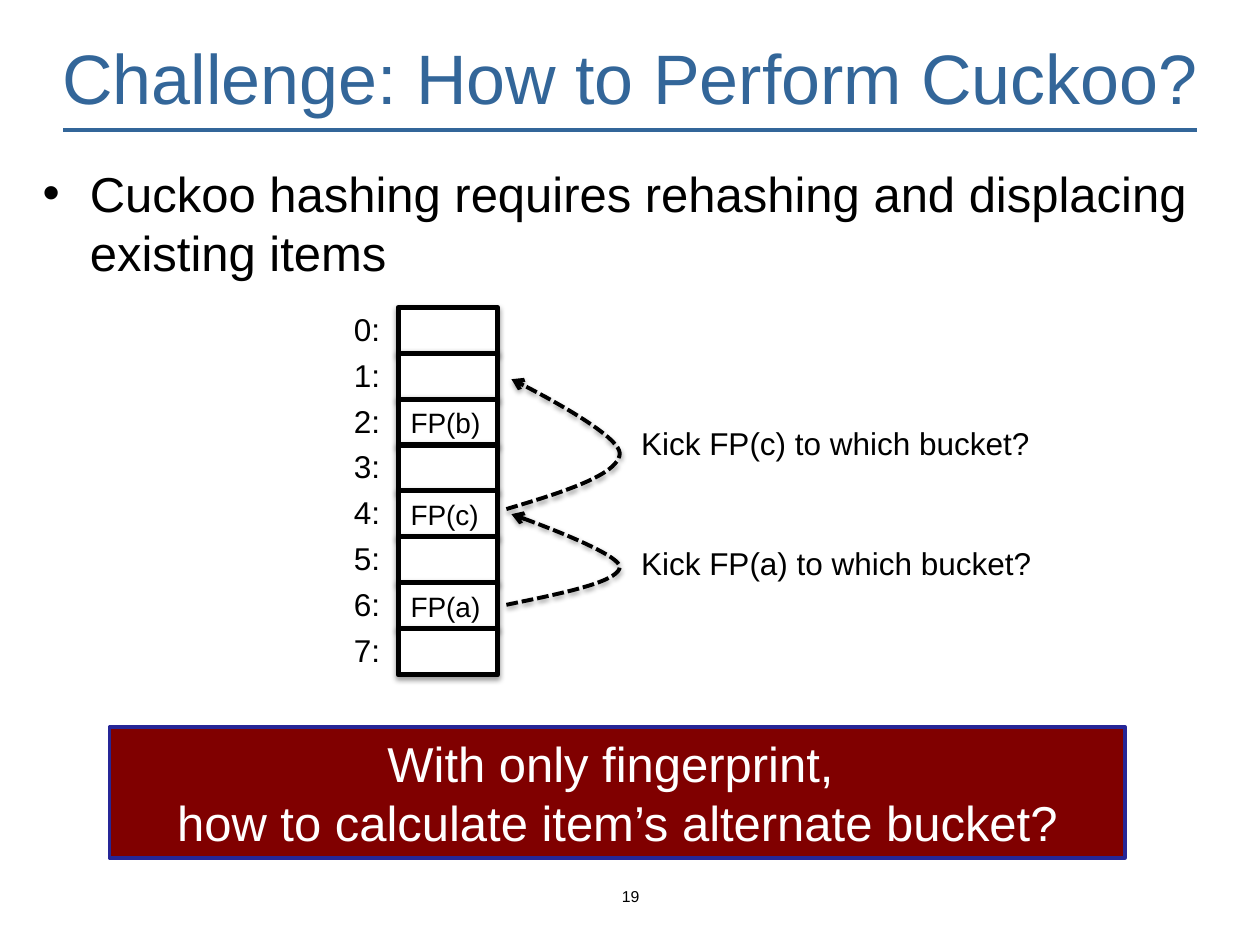
from dataclasses import dataclass

from lxml import etree
from pptx import Presentation
from pptx.dml.color import RGBColor
from pptx.enum import dml, shapes, text
from pptx.oxml import ns, parse_xml
from pptx.util import Pt

Point = tuple[float, float]


@dataclass(frozen=True)
class Theme:
    font: str = "Arial"
    heading: str = "336699"
    ink: str = "000000"
    paper: str = "FFFFFF"
    banner: str = "800000"
    banner_edge: str = "262697"
    title_size: float = 40
    body_size: float = 28
    label_size: float = 18
    cell_size: float = 16
    number_size: float = 9


@dataclass(frozen=True)
class Area:
    left: float
    top: float
    width: float
    height: float

    def lengths(self):
        return [Pt(v) for v in (self.left, self.top, self.width, self.height)]


@dataclass(frozen=True)
class Kick:
    """A curved move between buckets, as two Bezier pieces, with its question."""
    points: tuple[Point, ...]
    question: str
    question_top: float


THEME = Theme()
BUCKETS = ("", "", "FP(b)", "", "FP(c)", "", "FP(a)", "")
BUCKET_TOP, BUCKET_PITCH = 175.7, 26.2
KICKS = (
    Kick(((289.4, 345.6), (321.1, 339.1), (353.5, 332.6), (354.2, 324),
          (354.2, 315.4), (292.3, 293.8), (292.3, 293.8)),
         "Kick FP(a) to which bucket?", 307.4),
    Kick(((289.4, 290.9), (321.1, 281.5), (353.5, 271.4), (354.2, 259.2),
          (354.2, 247), (292.3, 216.7), (292.3, 216.7)),
         "Kick FP(c) to which bucket?", 239),
)


def color(value: str) -> RGBColor:
    return RGBColor.from_string(value)


def write(shape, words: str, size: float, ink: str = THEME.ink,
          align=text.PP_ALIGN.LEFT) -> None:
    shape.text_frame.text = words
    for paragraph in shape.text_frame.paragraphs:
        paragraph.alignment = align
        for span in paragraph.runs:
            span.font.name = THEME.font
            span.font.size = Pt(size)
            span.font.color.rgb = color(ink)


def add_text(page, area: Area, words: str, size: float, ink: str = THEME.ink,
             align=text.PP_ALIGN.LEFT, wrap: bool = True):
    box = page.shapes.add_textbox(*area.lengths())
    box.text_frame.word_wrap = wrap
    write(box, words, size, ink, align)
    return box


def add_panel(page, area: Area, fill: str, edge: str, weight: float):
    panel = page.shapes.add_shape(shapes.MSO_SHAPE.RECTANGLE, *area.lengths())
    panel.shadow.inherit = False
    panel.fill.solid()
    panel.fill.fore_color.rgb = color(fill)
    panel.line.color.rgb = color(edge)
    panel.line.width = Pt(weight)
    panel.text_frame.word_wrap = True
    return panel


def cast_shadow(shape) -> None:
    shape.shadow.inherit = False
    effects = shape._element.spPr.find(ns.qn("a:effectLst"))
    effects.append(parse_xml(
        f'<a:outerShdw {ns.nsdecls("a")} blurRad="{Pt(3.1)}" dist="{Pt(1.6)}" '
        f'dir="5400000" rotWithShape="0"><a:srgbClr val="{THEME.ink}">'
        '<a:alpha val="38000"/></a:srgbClr></a:outerShdw>'))


def add_bullet(paragraph, indent: float) -> None:
    properties = paragraph._p.get_or_add_pPr()
    properties.set("marL", str(Pt(indent)))
    properties.set("indent", str(-Pt(indent)))
    etree.SubElement(properties, ns.qn("a:buFont"), typeface=THEME.font)
    etree.SubElement(properties, ns.qn("a:buChar"), char="•")


def add_rule(page, start: Point, end: Point) -> None:
    rule = page.shapes.add_connector(
        shapes.MSO_CONNECTOR.STRAIGHT, *(Pt(v) for v in start + end))
    rule.line.color.rgb = color(THEME.heading)
    rule.line.width = Pt(2)
    etree.SubElement(rule._element.spPr, ns.qn("a:effectLst"))


def bezier(points: tuple[Point, ...], steps: int = 24) -> list[Point]:
    """Sample one cubic piece, leaving out its start."""
    samples = []
    for step in range(1, steps + 1):
        t = step / steps
        weights = ((1 - t) ** 3, 3 * t * (1 - t) ** 2, 3 * t * t * (1 - t), t ** 3)
        samples.append(tuple(sum(w * p[axis] for w, p in zip(weights, points))
                             for axis in (0, 1)))
    return samples


def add_kick(page, kick: Kick) -> None:
    curve = bezier(kick.points[:4]) + bezier(kick.points[3:])
    builder = page.shapes.build_freeform(*(Pt(v) for v in kick.points[0]))
    builder.add_line_segments([(Pt(x), Pt(y)) for x, y in curve], close=False)
    arrow = builder.convert_to_shape()
    arrow.fill.background()
    arrow.line.color.rgb = color(THEME.ink)
    arrow.line.width = Pt(2.25)
    arrow.line.dash_style = dml.MSO_LINE.SQUARE_DOT
    etree.SubElement(arrow.line._get_or_add_ln(), ns.qn("a:tailEnd"), type="arrow")
    cast_shadow(arrow)
    add_text(page, Area(359.3, kick.question_top, 240.5, 29), kick.question,
             THEME.label_size, wrap=False)


def add_bucket(page, index: int, content: str) -> None:
    top = BUCKET_TOP + index * BUCKET_PITCH
    cell = add_panel(page, Area(227.5, top, 56.9, 26.6), THEME.paper, THEME.ink, 3)
    cast_shadow(cell)
    if content:
        write(cell, content, THEME.cell_size)
    add_text(page, Area(195.1, top - 2.2, 29.5, 29), f"{index}:",
             THEME.label_size, wrap=False)


def main() -> None:
    deck = Presentation()
    deck.slide_width, deck.slide_height = Pt(720), Pt(540)
    page = deck.slides.add_slide(deck.slide_layouts[6])
    center = text.PP_ALIGN.CENTER

    add_rule(page, (36, 74.2), (684, 74.2))
    title = add_text(page, Area(0, 16.6, 720, 54), "Challenge: How to Perform Cuckoo?",
                     THEME.title_size, THEME.heading, center)
    title.text_frame.vertical_anchor = text.MSO_ANCHOR.MIDDLE
    body = add_text(page, Area(17.3, 90, 692, 72),
                    "Cuckoo hashing requires rehashing and displacing existing items",
                    THEME.body_size)
    add_bullet(body.text_frame.paragraphs[0], 27)
    add_text(page, Area(290.2, 503.3, 140.4, 16.6), "19", THEME.number_size, align=center)

    banner = add_panel(page, Area(62.6, 415.4, 580.3, 74.9),
                       THEME.banner, THEME.banner_edge, 2)
    write(banner, "With only fingerprint, \vhow to calculate item’s alternate bucket?",
          THEME.body_size, THEME.paper, center)

    for index, content in enumerate(BUCKETS):
        add_bucket(page, index, content)
    for kick in KICKS:
        add_kick(page, kick)
    deck.save("out.pptx")


if __name__ == "__main__":
    main()
